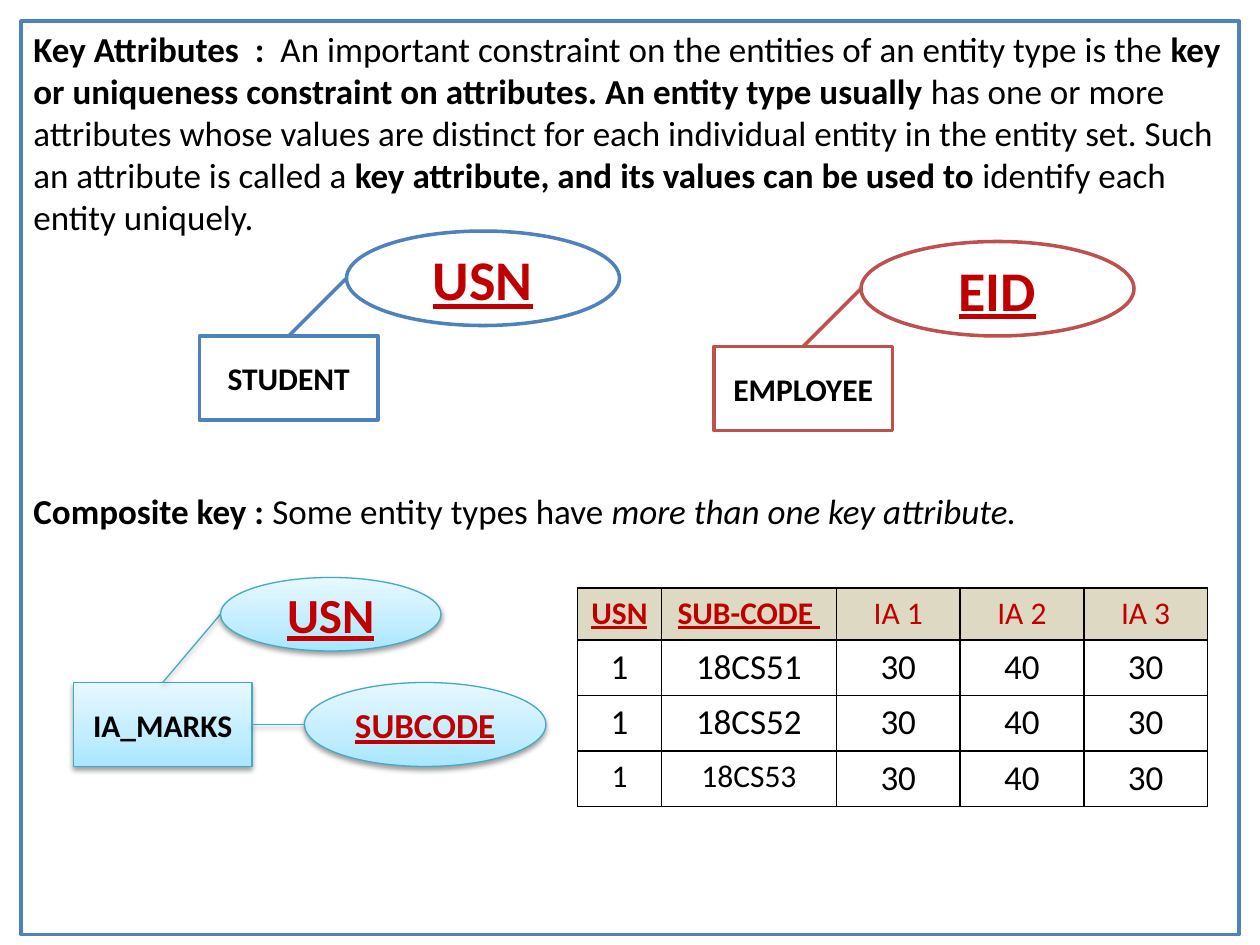
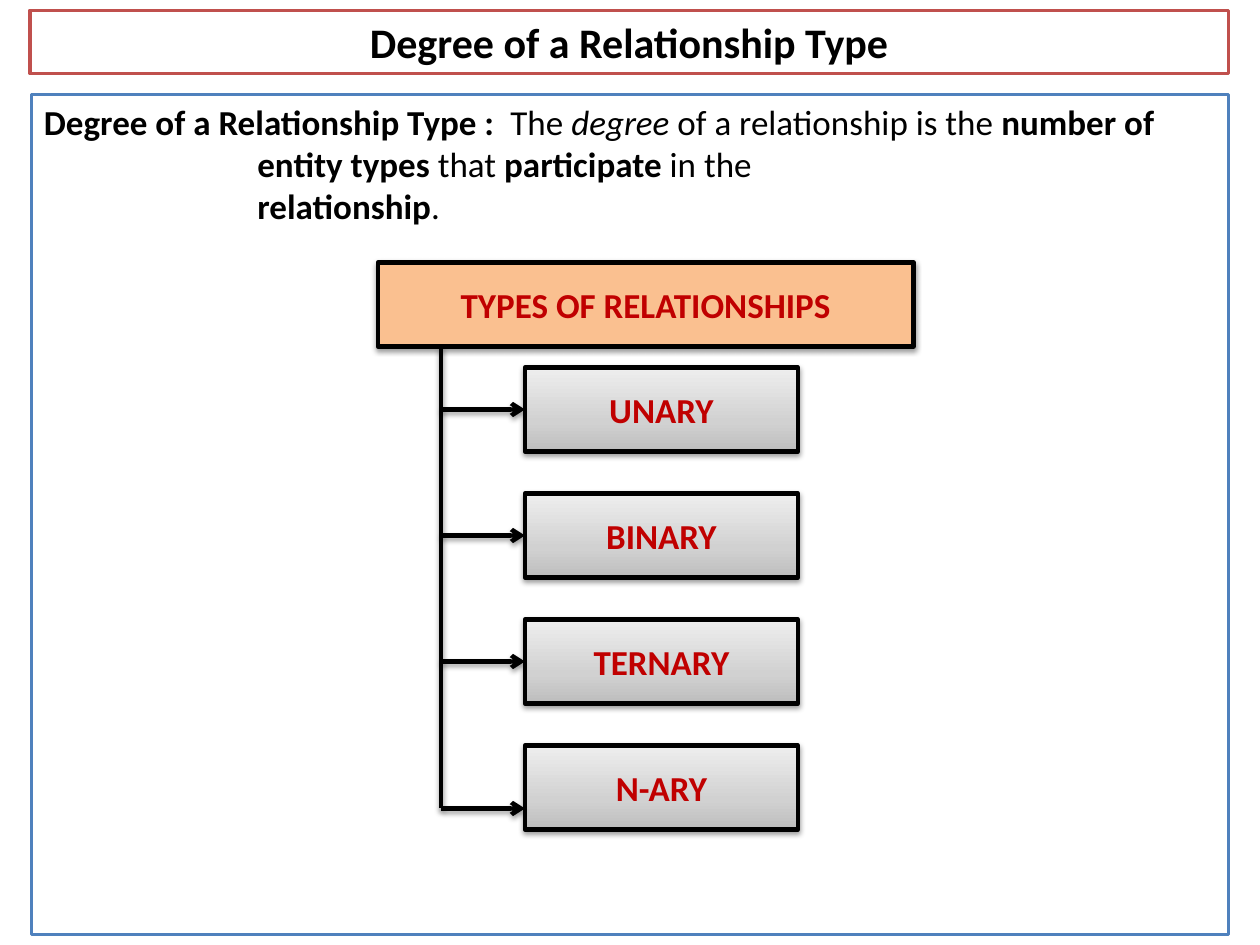
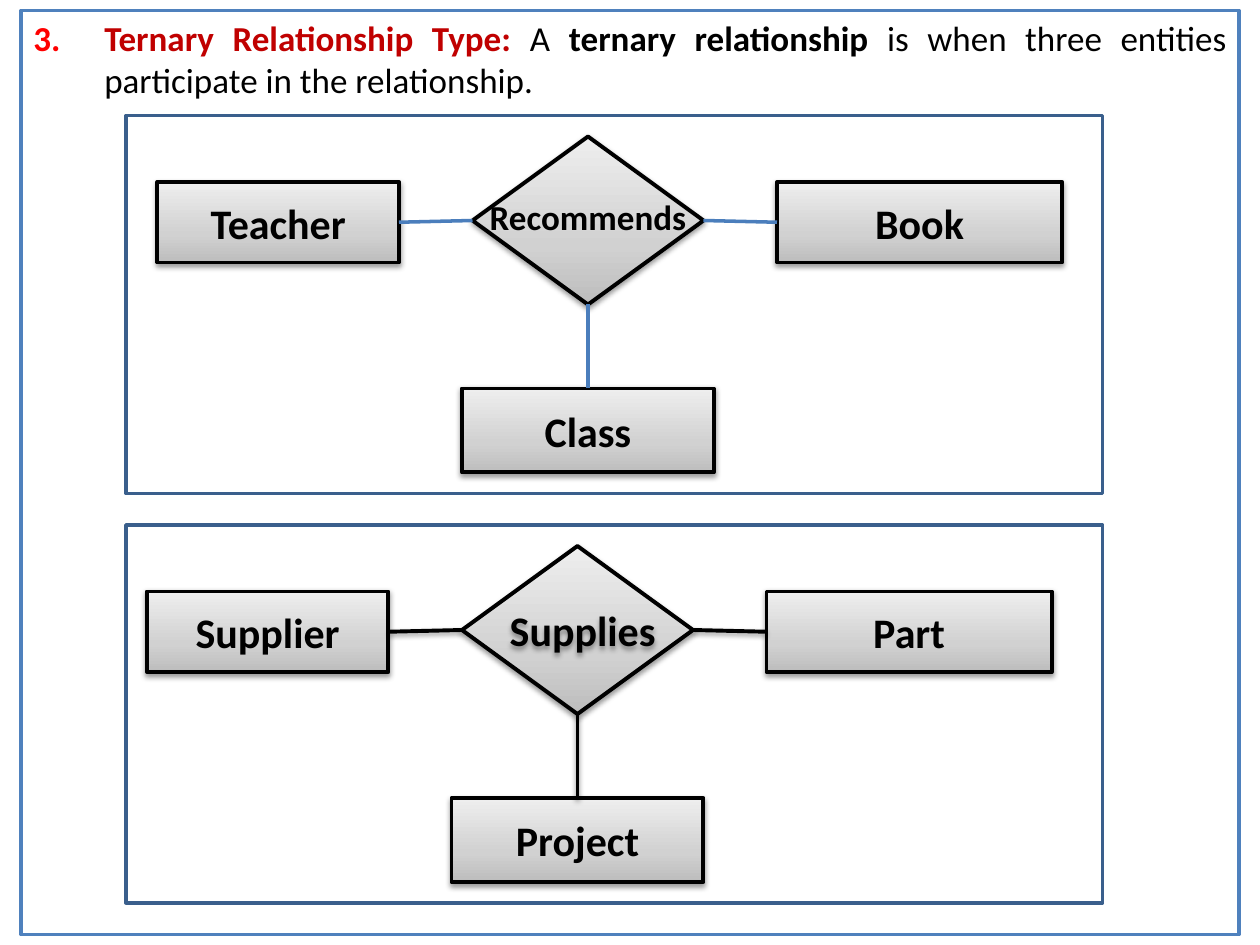
"""Build three slides on key attributes and relationship types in ER models."""
from copy import deepcopy
from dataclasses import dataclass, replace
from typing import NamedTuple, Optional

from lxml import etree
from pptx import Presentation
from pptx.dml.color import RGBColor
from pptx.enum import shapes, text
from pptx.oxml import ns
from pptx.util import Pt

BLACK = RGBColor(0x00, 0x00, 0x00)
WHITE = RGBColor(0xFF, 0xFF, 0xFF)
BLUE = RGBColor(0x4F, 0x81, 0xBD)
LINK_BLUE = RGBColor(0x4B, 0x7E, 0xBC)
FRAME_BLUE = RGBColor(0x3A, 0x5F, 0x8C)
AQUA = RGBColor(0x46, 0xAA, 0xC5)
BRICK = RGBColor(0xC0, 0x50, 0x4D)
RED = RGBColor(0xC0, 0x00, 0x00)
BRIGHT_RED = RGBColor(0xFF, 0x00, 0x00)
PEACH = RGBColor(0xFA, 0xC0, 0x90)
TAN = RGBColor(0xDD, 0xD9, 0xC3)
AQUA_FADE = (RGBColor(0xA7, 0xE6, 0xFF), RGBColor(0xC1, 0xED, 0xFF), RGBColor(0xE7, 0xF8, 0xFF))
GREY_FADE = (RGBColor(0xBD, 0xBD, 0xBD), RGBColor(0xD1, 0xD1, 0xD1), RGBColor(0xEE, 0xEE, 0xEE))
FADE_STOPS = (0, 0.35, 1)
FONT = "Calibri"
RECT = shapes.MSO_SHAPE.RECTANGLE
OVAL = shapes.MSO_SHAPE.OVAL
DIAMOND = shapes.MSO_SHAPE.DIAMOND
CENTER = text.PP_ALIGN.CENTER


class Point(NamedTuple):
    """A position on the slide, in points."""
    x: float
    y: float


@dataclass(frozen=True)
class Box:
    """A rectangle on the slide, in points."""
    left: float
    top: float
    width: float
    height: float

    def at(self, across: float, down: float) -> Point:
        """Return the point at the given fractions of the box."""
        return Point(self.left + across * self.width, self.top + down * self.height)

    def moved(self, dx: float, dy: float) -> "Box":
        """Return the box shifted by dx and dy."""
        return replace(self, left=self.left + dx, top=self.top + dy)


@dataclass(frozen=True)
class Look:
    """Outline, fill and shadow of a shape or line."""
    line: Optional[RGBColor] = None
    weight: float = 2
    fill: Optional[RGBColor] = None
    fade: tuple = ()
    shadow: bool = False


class Run(NamedTuple):
    """A stretch of text in one style."""
    words: str
    bold: bool = False
    size: float = 20
    color: RGBColor = BLACK
    italic: bool = False
    underline: bool = False


class KeyedEntity(NamedTuple):
    """An entity with its key attribute."""
    entity: str
    key: str
    entity_box: Box
    key_box: Box
    key_size: float
    look: Look


class Ternary(NamedTuple):
    """A relationship among three entities."""
    left: str
    relation: str
    right: str
    below: str
    relation_box: Box
    relation_size: float
    relation_look: Look
    link: Look
    dx: float
    dy: float


PANEL = Look(BLUE, fill=WHITE)
BRICK_PANEL = Look(BRICK, fill=WHITE)
AQUA_NODE = Look(AQUA, 0.75, fade=AQUA_FADE, shadow=True)
TYPES_NODE = Look(BLACK, 2.5, fill=PEACH, shadow=True)
KIND_NODE = Look(BLACK, 2.5, fade=GREY_FADE, shadow=True)
TERNARY_NODE = Look(BLACK, 2.25, fade=GREY_FADE, shadow=True)


def add_xml(parent, tag: str, **attributes: str):
    """Append an element to parent and return it."""
    return etree.SubElement(parent, ns.qn(tag), attributes)


def cast_shadow(effects) -> None:
    """Put the soft drop shadow into an effect list."""
    outer = add_xml(effects, "a:outerShdw", blurRad=str(Pt(3.1)), dist=str(Pt(1.6)),
                    dir="5400000", algn="ctr", rotWithShape="0")
    add_xml(add_xml(outer, "a:srgbClr", val=str(BLACK)), "a:alpha", val="38000")


def paint(shape, look: Look) -> None:
    """Give a shape its fill, outline and shadow."""
    properties = shape._element.spPr
    shape.shadow.inherit = False
    if look.shadow:
        cast_shadow(properties.find(ns.qn("a:effectLst")))
    if look.fade:
        shape.fill.gradient()
        shape.fill.gradient_angle = 90
        stops = properties.find(".//" + ns.qn("a:gsLst"))
        stops.insert(1, deepcopy(stops[0]))
        for stop, position, color in zip(shape.fill.gradient_stops, FADE_STOPS, look.fade):
            stop.position = position
            stop.color.rgb = color
    elif look.fill is not None:
        shape.fill.solid()
        shape.fill.fore_color.rgb = look.fill
    else:
        shape.fill.background()
    if look.line is None:
        shape.line.fill.background()
    else:
        shape.line.color.rgb = look.line
        shape.line.width = Pt(look.weight)


def write(paragraph, runs: tuple, align=text.PP_ALIGN.LEFT) -> None:
    """Add runs to a paragraph."""
    paragraph.alignment = align
    for run in runs:
        piece = paragraph.add_run()
        piece.text = run.words
        font = piece.font
        font.name, font.size = FONT, Pt(run.size)
        font.bold, font.italic, font.underline = run.bold, run.italic, run.underline
        font.color.rgb = run.color


def hang(paragraph, indent: float) -> None:
    """Give a paragraph a hanging indent."""
    properties = paragraph._p.get_or_add_pPr()
    properties.set("marL", str(Pt(indent)))
    properties.set("indent", str(-Pt(indent)))


def draw(slide, box: Box, look: Look, label: Optional[Run] = None, outline=RECT):
    """Draw a shape with an optional centred label."""
    shape = slide.shapes.add_shape(outline, Pt(box.left), Pt(box.top), Pt(box.width), Pt(box.height))
    paint(shape, look)
    if label:
        write(shape.text_frame.paragraphs[0], (label,), CENTER)
    return shape


def panel(slide, box: Box):
    """Draw a blue text panel and return its text frame."""
    frame = draw(slide, box, PANEL).text_frame
    frame.vertical_anchor = text.MSO_ANCHOR.TOP
    return frame


def caption(slide, box: Box, label: Run, look: Look) -> None:
    """Write a centred label in a text box."""
    area = slide.shapes.add_textbox(Pt(box.left), Pt(box.top), Pt(box.width), Pt(box.height))
    paint(area, look)
    area.text_frame.word_wrap = True
    area.text_frame.vertical_anchor = text.MSO_ANCHOR.MIDDLE
    write(area.text_frame.paragraphs[0], (label,), CENTER)


def connect(slide, start: Point, end: Point, look: Look, arrow: bool = False) -> None:
    """Draw a straight line, with an arrowhead at its end if asked."""
    link = slide.shapes.add_connector(shapes.MSO_CONNECTOR.STRAIGHT,
                                      Pt(start.x), Pt(start.y), Pt(end.x), Pt(end.y))
    link.line.color.rgb = look.line
    link.line.width = Pt(look.weight)
    if arrow:
        add_xml(link.line._get_or_add_ln(), "a:tailEnd", type="arrow")
    effects = add_xml(link._element.spPr, "a:effectLst")
    if look.shadow:
        cast_shadow(effects)


def keyed_entity(slide, item: KeyedEntity) -> None:
    """Draw an entity joined to its underlined key."""
    draw(slide, item.entity_box, item.look, Run(item.entity, True, 18))
    connect(slide, item.entity_box.at(0.5, 0), item.key_box.at(0, 0.5), item.look)
    draw(slide, item.key_box, item.look,
         Run(item.key, True, item.key_size, RED, underline=True), OVAL)


def fill_cell(cell, run: Run, fill: Optional[RGBColor]) -> None:
    """Give a table cell its borders, fill and text."""
    for side in ("a:lnL", "a:lnR", "a:lnT", "a:lnB"):
        border = add_xml(cell._tc.get_or_add_tcPr(), side, w=str(Pt(1)))
        add_xml(add_xml(border, "a:solidFill"), "a:srgbClr", val=str(BLACK))
    if fill is None:
        cell.fill.background()
    else:
        cell.fill.solid()
        cell.fill.fore_color.rgb = fill
    write(cell.text_frame.paragraphs[0], (run,), CENTER)


def marks_table(slide) -> None:
    """Draw the table of marks by composite key."""
    widths = (48, 100, 70.67, 70.67, 70.67)
    heights = (29.6, 31.6, 31.6, 31.6)
    subjects = ("18CS51", "18CS52", "18CS53")
    header = [Run(name, True, 18, RED, underline=True) for name in ("USN", "SUB-CODE ")]
    header += [Run(f"IA {number}", size=18, color=RED) for number in (1, 2, 3)]
    rows = [header]
    for subject in subjects:
        key_size = 18 if subject == subjects[-1] else 20
        rows.append([Run("1", size=key_size), Run(subject, size=key_size),
                     *(Run(mark) for mark in ("30", "40", "30"))])
    table = slide.shapes.add_table(len(rows), len(widths), Pt(330), Pt(336),
                                   Pt(sum(widths)), Pt(sum(heights))).table
    table.first_row = table.horz_banding = False
    for column, width in zip(table.columns, widths):
        column.width = Pt(width)
    for index, (row, height) in enumerate(zip(rows, heights)):
        table.rows[index].height = Pt(height)
        for column, run in enumerate(row):
            fill_cell(table.cell(index, column), run, TAN if index == 0 else None)


def key_attributes(slide) -> None:
    """Build the slide on key attributes and composite keys."""
    frame = panel(slide, Box(12, 12, 696, 522))
    write(frame.paragraphs[0], (
        Run("Key Attributes  :  ", True),
        Run("An important constraint on the entities of an entity type is the "),
        Run("key or uniqueness constraint on attributes. An entity type usually ", True),
        Run("has one or more attributes whose values are distinct for each individual entity "
            "in the entity set. Such an attribute is called a "),
        Run("key attribute, and its values can be used to ", True),
        Run("identify each entity uniquely."),
    ))
    composite = frame.add_paragraph()
    composite.space_before = Pt(144)
    write(composite, (Run("Composite key : ", True), Run("Some entity types have "),
                      Run("more than one key attribute.", italic=True)))

    student, usn = Box(114, 192, 102, 48), Box(198, 132, 156, 54)
    marks, subcode = Box(42, 390, 102, 48), Box(174, 390, 138, 48)
    for item in (
        KeyedEntity("STUDENT", "USN", student, usn, 32, PANEL),
        KeyedEntity("EMPLOYEE", "EID", student.moved(294, 6), usn.moved(294, 6), 32, BRICK_PANEL),
        KeyedEntity("IA_MARKS", "USN", marks, Box(126, 330, 126, 42), 28, AQUA_NODE),
    ):
        keyed_entity(slide, item)
    draw(slide, subcode, AQUA_NODE, Run("SUBCODE", True, 20, RED, underline=True), OVAL)
    connect(slide, marks.at(1, 0.5), subcode.at(0, 0.5), AQUA_NODE)
    marks_table(slide)


def relationship_degree(slide) -> None:
    """Build the slide on the degree of a relationship type."""
    draw(slide, Box(17, 6, 685, 36), BRICK_PANEL, Run("Degree of a Relationship Type", True, 24))
    definition = panel(slide, Box(18, 54, 684, 480)).paragraphs[0]
    hang(definition, 122)
    write(definition, (
        Run("Degree of a Relationship Type :  ", True), Run("The\u00a0".replace("\u00a0", " ")),
        Run("degree", italic=True), Run(" of a relationship is the "),
        Run("number of entity types ", True), Run("that "),
        Run("participate", True), Run(" in the"),
    ))
    definition.add_line_break()
    write(definition, (Run("relationship", True), Run(".")))

    types = Box(216, 150, 306, 48)
    trunk_top, trunk_end = Point(252, 198), Point(252, 462)
    draw(slide, types, TYPES_NODE, Run("TYPES OF RELATIONSHIPS", True, color=RED))
    connect(slide, trunk_top, trunk_end, KIND_NODE)
    kinds = ("UNARY", "BINARY", "TERNARY", "N-ARY")
    for index, kind in enumerate(kinds):
        box = Box(300, 210 + 72 * index, 156, 48)
        draw(slide, box, KIND_NODE, Run(kind, True, color=RED))
        level = trunk_end.y if kind == kinds[-1] else box.at(0, 0.5).y
        connect(slide, Point(trunk_end.x, level), Point(box.left, level), KIND_NODE, arrow=True)


def ternary_diagram(slide, item: Ternary) -> None:
    """Draw three entities around a relationship diamond."""
    left, right, below, diamond = (
        box.moved(item.dx, item.dy) for box in (
            Box(90, 104, 138, 46), Box(444, 104, 163, 46),
            Box(264, 222, 144, 48), Box(270, 78, 132, 96)))
    draw(slide, Box(72, 66, 558, 216).moved(0, item.dy), Look(FRAME_BLUE))
    for box, entity in ((left, item.left), (right, item.right), (below, item.below)):
        draw(slide, box, TERNARY_NODE, Run(entity, True, 24))
    draw(slide, diamond, TERNARY_NODE, outline=DIAMOND)
    caption(slide, item.relation_box, Run(item.relation, True, item.relation_size),
            item.relation_look)
    connect(slide, left.at(1, 0.5), diamond.at(0, 0.5), item.link)
    connect(slide, diamond.at(1, 0.5), right.at(0, 0.5), item.link)
    connect(slide, below.at(0.5, 0), diamond.at(0.5, 1), item.link)


def ternary_type(slide) -> None:
    """Build the slide on ternary relationships."""
    definition = panel(slide, Box(12, 6, 696, 528)).paragraphs[0]
    write(definition, (
        Run("Ternary Relationship Type: ", True, color=RED), Run("A "),
        Run("ternary relationship ", True),
        Run("is when three entities participate in the relationship."),
    ), text.PP_ALIGN.JUSTIFY)
    definition.space_after = Pt(6)
    hang(definition, 40.5)
    properties = definition._p.get_or_add_pPr()
    add_xml(add_xml(properties, "a:buClr"), "a:srgbClr", val=str(BRIGHT_RED))
    add_xml(properties, "a:buAutoNum", type="arabicPeriod", startAt="3")

    for item in (
        Ternary("Teacher", "Recommends", "Book", "Class", Box(270, 108, 132, 31.6), 20,
                Look(), Look(LINK_BLUE), 0, 0),
        Ternary("Supplier", "Supplies", "Part", "Project", Box(264, 342, 138, 36), 24,
                Look(shadow=True), TERNARY_NODE, -6, 234),
    ):
        ternary_diagram(slide, item)


def main() -> None:
    """Build and save the presentation."""
    deck = Presentation()
    deck.slide_width, deck.slide_height = Pt(720), Pt(540)
    for build in (key_attributes, relationship_degree, ternary_type):
        build(deck.slides.add_slide(deck.slide_layouts[6]))
    deck.save("out.pptx")


if __name__ == "__main__":
    main()
